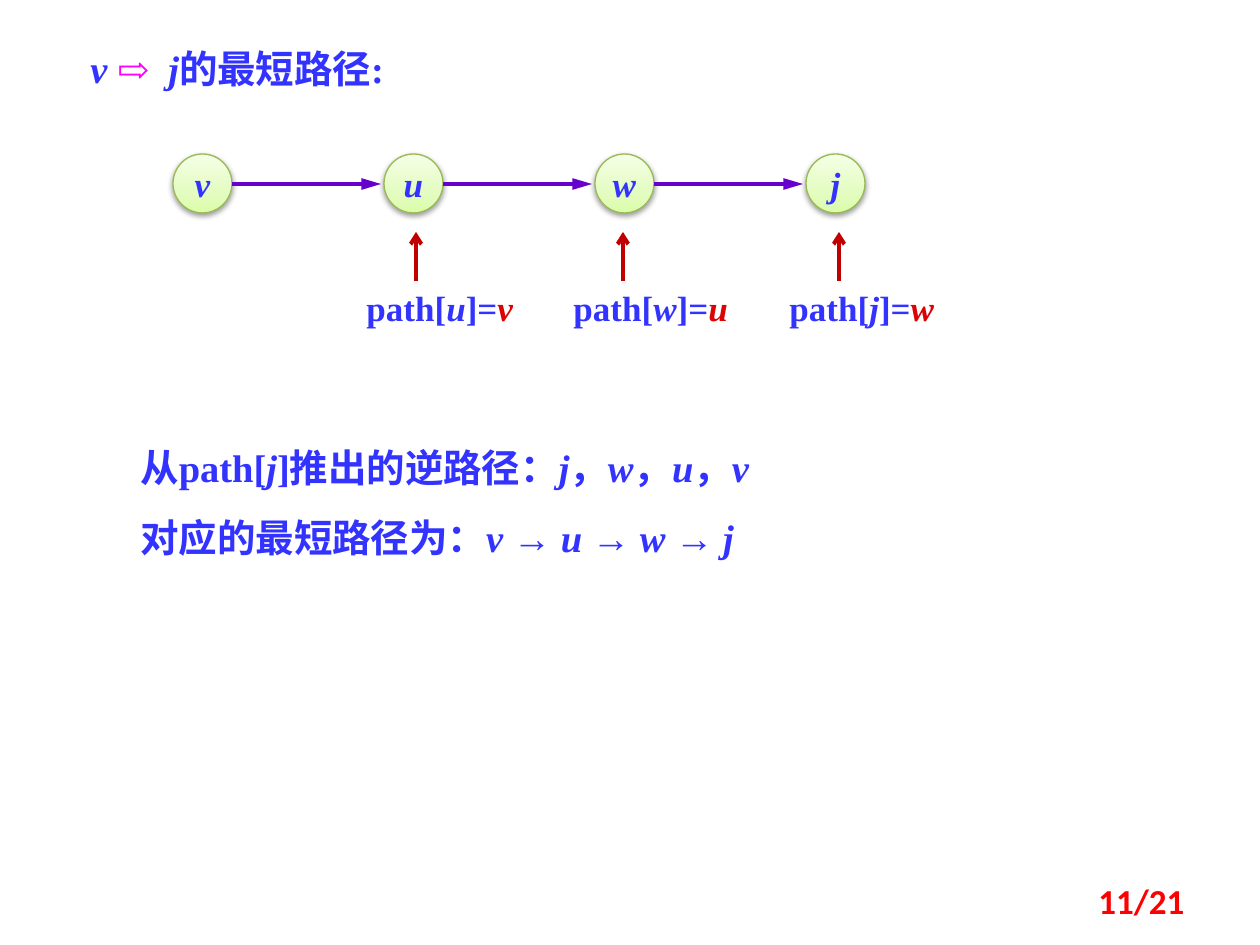
from copy import deepcopy
from dataclasses import dataclass

from lxml import etree
from pptx import Presentation
from pptx.dml.color import RGBColor
from pptx.enum.shapes import MSO_CONNECTOR, MSO_SHAPE
from pptx.enum.text import MSO_ANCHOR, MSO_AUTO_SIZE, PP_ALIGN
from pptx.oxml import parse_xml
from pptx.oxml.ns import nsdecls, qn
from pptx.util import Pt

STRAIGHT = MSO_CONNECTOR.STRAIGHT
OVAL = MSO_SHAPE.OVAL
TOP, MIDDLE = MSO_ANCHOR.TOP, MSO_ANCHOR.MIDDLE
LEFT, CENTER, RIGHT = PP_ALIGN.LEFT, PP_ALIGN.CENTER, PP_ALIGN.RIGHT
EMU_PER_PX = 914400 / 126


@dataclass(frozen=True)
class Theme:
    text: str = "3333FF"
    previous: str = "DB0303"
    symbol: str = "FF00FF"
    page_number: str = "FF0000"
    edge: str = "6600CC"
    pointer: str = "C00000"
    node_line: str = "98B955"
    node_stops: tuple = ((0, "DAFDA7"), (0.35, "E4FCC2"), (1, "F5FFE7"))
    font: str = "Times New Roman"
    number_font: str = "Calibri"
    large: int = 22
    normal: int = 20


THEME = Theme()


def px(length):
    return round(length * EMU_PER_PX)


def rgb(color):
    return RGBColor.from_string(color)


def add_span(para, text, size=THEME.normal, color=THEME.text, font=THEME.font,
             italic=False, spacing=None):
    """Add a bold run; spacing is extra room after each letter, in points."""
    span = para.add_run()
    span.text = text
    span.font.name = font
    span.font.size = Pt(size)
    span.font.bold = True
    span.font.italic = italic
    span.font.color.rgb = rgb(color)
    if spacing:
        span.font._element.set("spc", str(round(spacing * 100)))


def add_text(shapes, area, paras, size=THEME.normal, anchor=TOP, align=LEFT,
             grow=True, line_spacing=None):
    """Add a text box; each paragraph is a list of (text, format) pairs."""
    box = shapes.add_textbox(*map(px, area))
    frame = box.text_frame
    frame.word_wrap = True
    frame.vertical_anchor = anchor
    if grow:
        frame.auto_size = MSO_AUTO_SIZE.SHAPE_TO_FIT_TEXT
    for index, spans in enumerate(paras):
        para = frame.add_paragraph() if index else frame.paragraphs[0]
        para.alignment = align
        if line_spacing:
            para.line_spacing = line_spacing
        if index:
            para.space_before = Pt(size / 2)
        for text, style in spans:
            add_span(para, text, size=size, **style)


def add_arrow(shapes, start, end, color, head, head_length="med"):
    arrow = shapes.add_connector(STRAIGHT, *map(px, (*start, *end)))
    arrow.line.color.rgb = rgb(color)
    arrow.line.width = Pt(2.25)
    etree.SubElement(arrow.line._get_or_add_ln(), qn("a:tailEnd"),
                     type=head, w="med", len=head_length)
    etree.SubElement(arrow._element.spPr, qn("a:effectLst"))


def add_node(shapes, name, left, top, size):
    node = shapes.add_shape(OVAL, px(left), px(top), px(size), px(size))
    node.fill.gradient()
    node.fill.gradient_angle = 90
    properties = node._element.spPr
    stop_list = properties.find(".//" + qn("a:gsLst"))
    stop_list.insert(1, deepcopy(stop_list[0]))
    for stop, (position, color) in zip(node.fill.gradient_stops, THEME.node_stops):
        stop.position = position
        stop.color.rgb = rgb(color)
    node.line.color.rgb = rgb(THEME.node_line)
    node.line.width = Pt(0.75)
    properties.append(parse_xml(
        f'<a:effectLst {nsdecls("a")}><a:outerShdw blurRad="40000" dist="20000" '
        'dir="5400000" rotWithShape="0"><a:srgbClr val="000000">'
        '<a:alpha val="38000"/></a:srgbClr></a:outerShdw></a:effectLst>'))
    frame = node.text_frame
    frame.word_wrap = False
    frame.vertical_anchor = MIDDLE
    para = frame.paragraphs[0]
    para.alignment = CENTER
    add_span(para, name, italic=True)


def add_path_label(page, left, node, previous):
    """Add a label naming a node's predecessor, with an arrow up to the node."""
    group = page.shapes.add_group_shape()
    pointer_x = left + 62
    add_arrow(group.shapes, (pointer_x, 281), (pointer_x, 232),
              THEME.pointer, "arrow")
    add_text(group.shapes, (left, 280, 197, 55), [[
        ("path[", {}), (node, {"italic": True}), ("]=", {}),
        (previous, {"italic": True, "color": THEME.previous})]])


def add_graph(page):
    names = "vuwj"
    left, top, size, step = 173, 154, 59, 211
    middle = top + size // 2 + 1
    for index, name in enumerate(names):
        node_left = left + index * step
        add_node(page.shapes, name, node_left, top, size)
        if index < len(names) - 1:
            add_arrow(page.shapes, (node_left + size, middle),
                      (node_left + step - 3, middle), THEME.edge, "triangle", "lg")
    for label_left, node, previous in zip((354, 561, 777), names[1:], names):
        add_path_label(page, label_left, node, previous)


def joined(names, separator):
    """Return italic names with an upright separator between them."""
    spans = []
    for name in names:
        if spans:
            spans.append((separator, {}))
        spans.append((name, {"italic": True}))
    return spans


def main():
    deck = Presentation()
    deck.slide_width, deck.slide_height = px(1260), px(945)
    page = deck.slides.add_slide(deck.slide_layouts[6])
    add_text(page.shapes, (78, 39, 364, 59), [[
        ("v ", {"italic": True}),
        ("⇨ ", {"color": THEME.symbol, "spacing": 2.75}),
        ("j", {"italic": True}), ("的最短路径:", {})]], size=THEME.large)
    add_graph(page)
    add_text(page.shapes, (128, 433, 703, 135), [
        [("从path[", {}), ("j", {"italic": True}), ("]推出的逆路径：", {}),
         *joined("jwuv", "，")],
        [("对应的最短路径为：", {}), *joined("vuwj", " → ")],
    ], size=THEME.large, line_spacing=1.1)
    add_text(page.shapes, (903, 876, 294, 50), [[
        ("11/21", {"color": THEME.page_number, "font": THEME.number_font})]],
        anchor=MIDDLE, align=RIGHT, grow=False)
    deck.save("out.pptx")


if __name__ == "__main__":
    main()
